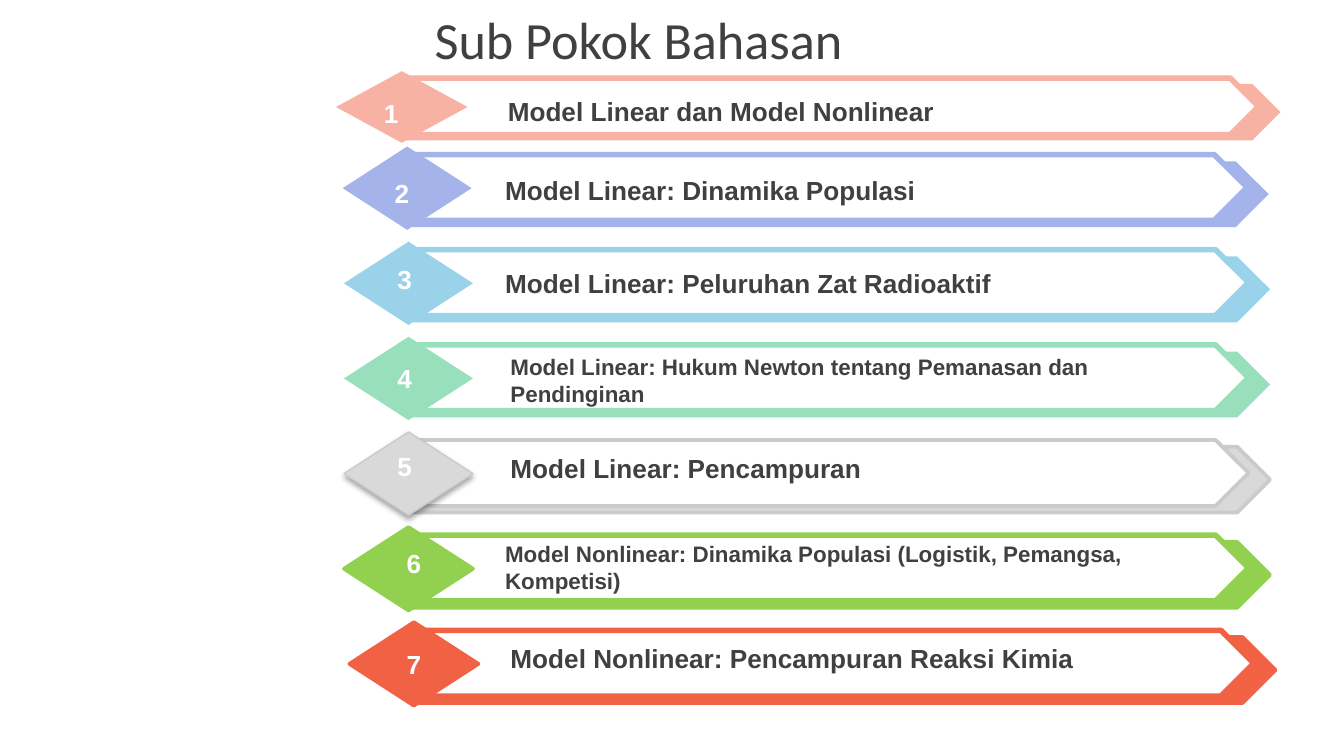
from lxml import etree
from pptx import Presentation
from pptx import util as u
from pptx.dml.color import RGBColor
from pptx.enum import shapes, text
from pptx.oxml.ns import qn

# Content: label, size, fill, line colour, (badge line, back line, front line) in points
TOPICS = [
    ("Model Linear dan Model Nonlinear", 14, "F8B2A3", "F8B2A3", (0, 0, 3)),
    ("Model Linear: Dinamika Populasi", 14, "A4B4EA", "A4B4EA", (0, 0, 3)),
    ("Model Linear: Peluruhan Zat Radioaktif", 14, "9AD3E9", "9AD3E9", (0, 0, 3)),
    ("Model Linear: Hukum Newton tentang Pemanasan dan Pendinginan",
     12, "98DFBB", "98DFBB", (0, 0, 3)),
    ("Model Linear: Pencampuran", 14, "D9D9D9", "CBCBCB", (0.75, 2, 2)),
    ("Model Nonlinear: Dinamika Populasi (Logistik, Pemangsa, Kompetisi)",
     12, "92D050", "92D050", (2, 2, 3)),
    ("Model Nonlinear: Pencampuran Reaksi Kimia", 14, "F16244", "F16244", (2, 2, 3)),
]
# Left edge of each badge, then left and top of each number and label
BADGE_LEFT = [2.5, 2.55, 2.56, 2.56, 2.56, 2.56, 2.6]
NUMBER_AT = [(2.7, 0.67), (2.78, 1.27), (2.8, 1.91), (2.8, 2.64),
             (2.8, 3.3), (2.87, 4.02), (2.87, 4.77)]
LABEL_AT = [(3.68, 0.66), (3.66, 1.25), (3.66, 1.94), (3.7, 2.58),
            (3.7, 3.32), (3.66, 3.97), (3.7, 4.73)]
FIRST_TOP, SECOND_TOP, LAST_TOP = 0.53, 1.09, 4.63
PITCH = (LAST_TOP - SECOND_TOP) / (len(TOPICS) - 2)
FIRST_SCALE = (1.02, 0.86)  # the first banner is wider and flatter
SHADOW_ROW = 4
INK, WHITE = "404040", "FFFFFF"

# Parts of one banner: left and top from its badge, width, height
BACK = (0.51, 0.11, 6.38, 0.49)
FRONT = (0.51, 0.06, 6.22, 0.49)
BADGE = (0, 0, 0.96, 0.62)


def color(value):
    return RGBColor.from_string(value)


def write(frame, words, size, ink, font="Arial", bold=True, align=text.PP_ALIGN.LEFT):
    para = frame.paragraphs[0]
    para.alignment = align
    span = para.add_run()
    span.text = words
    span.font.size, span.font.name, span.font.bold = u.Pt(size), font, bold
    span.font.color.rgb = color(ink)


def add_part(page, kind, part, origin, scale, fill, line, weight):
    left, top, width, height = part
    shape = page.shapes.add_shape(
        kind, u.Inches(origin[0] + left * scale[0]), u.Inches(origin[1] + top * scale[1]),
        u.Inches(width * scale[0]), u.Inches(height * scale[1]))
    shape.shadow.inherit = False
    shape.fill.solid()
    shape.fill.fore_color.rgb = color(fill)
    if weight:
        shape.line.color.rgb = color(line)
        shape.line.width = u.Pt(weight)
    else:
        shape.line.fill.background()
    return shape


def add_shadow(shape):
    effects = shape._element.spPr.find(qn("a:effectLst"))
    shadow = etree.SubElement(effects, qn("a:outerShdw"), blurRad=str(u.Pt(3.1)),
                              dist=str(u.Pt(1.8)), dir="5400000", rotWithShape="0")
    tint = etree.SubElement(shadow, qn("a:srgbClr"), val="000000")
    etree.SubElement(tint, qn("a:alpha"), val="35000")


def add_text(page, at, width, height, words, size, ink, **style):
    box = page.shapes.add_textbox(*map(u.Inches, (*at, width, height)))
    box.text_frame.word_wrap = True
    write(box.text_frame, words, size, ink, **style)
    return box


# A 16:9 page
deck = Presentation()
deck.slide_width = u.Inches(10)
deck.slide_height = deck.slide_width * 9 // 16
page = deck.slides.add_slide(deck.slide_layouts[5])

# Title
title = page.shapes.title
title.left, title.top, title.width, title.height = map(u.Inches, (-0.06, 0.09, 9.62, 0.39))
title.text_frame.auto_size = text.MSO_AUTO_SIZE.NONE
title.text_frame.vertical_anchor = text.MSO_ANCHOR.MIDDLE
write(title.text_frame, "Sub Pokok Bahasan", 28, INK, "Calibri", False, text.PP_ALIGN.CENTER)

# Numbered banners
plate, diamond = shapes.MSO_SHAPE.PENTAGON, shapes.MSO_SHAPE.DIAMOND
for row, (label, size, fill, line, weights) in enumerate(TOPICS):
    top = SECOND_TOP + (row - 1) * PITCH if row else FIRST_TOP
    origin = (BADGE_LEFT[row], top)
    scale = (1, 1) if row else FIRST_SCALE
    add_part(page, plate, BACK, origin, scale, fill, line, weights[1])
    add_part(page, plate, FRONT, origin, scale, WHITE, line, weights[2])
    badge = add_part(page, diamond, BADGE, origin, scale, fill, line, weights[0])
    if row == SHADOW_ROW:
        add_shadow(badge)

    number = add_text(page, NUMBER_AT[row], 0.42, 0.34, str(row + 1), 14, WHITE,
                      align=text.PP_ALIGN.CENTER)
    number.text_frame.vertical_anchor = text.MSO_ANCHOR.MIDDLE
    two_lines = size == 12
    add_text(page, LABEL_AT[row], 5.28 if row == 5 else 5, 0.5 if two_lines else 0.34,
             label, size, INK)

deck.save("out.pptx")
